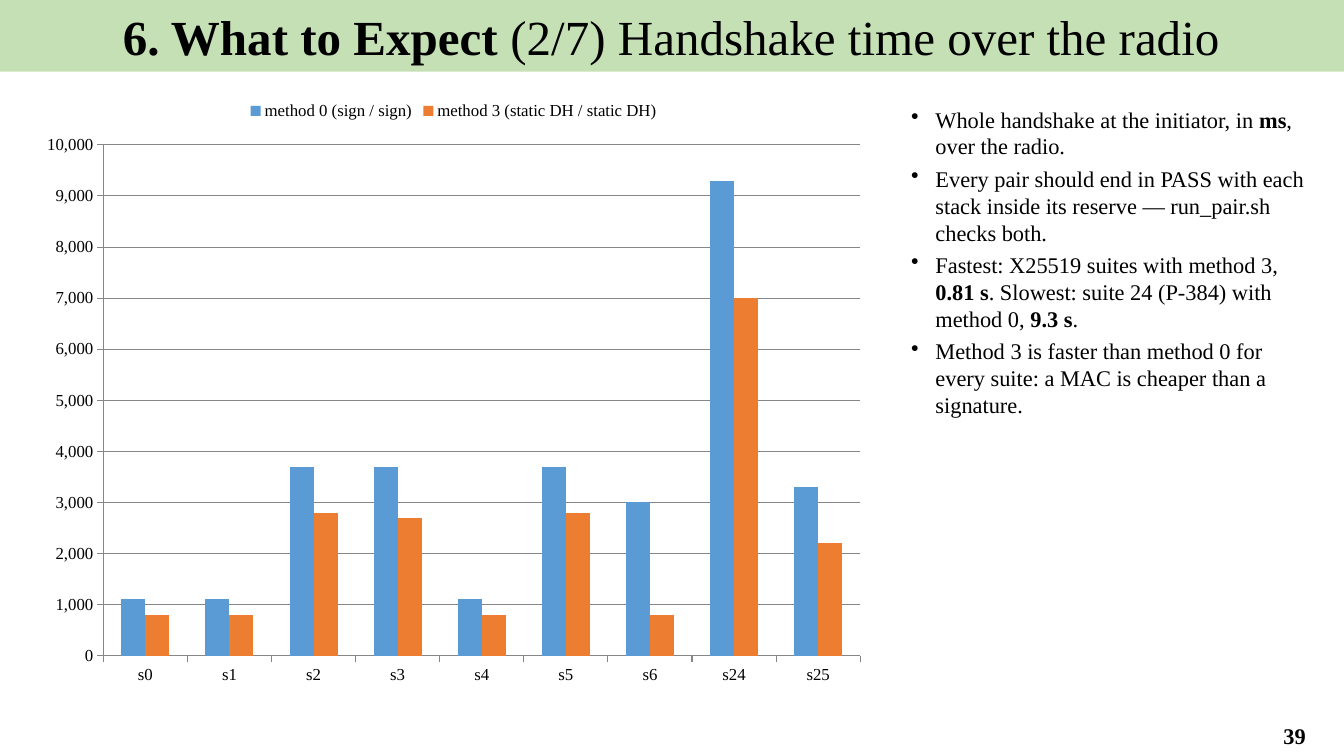
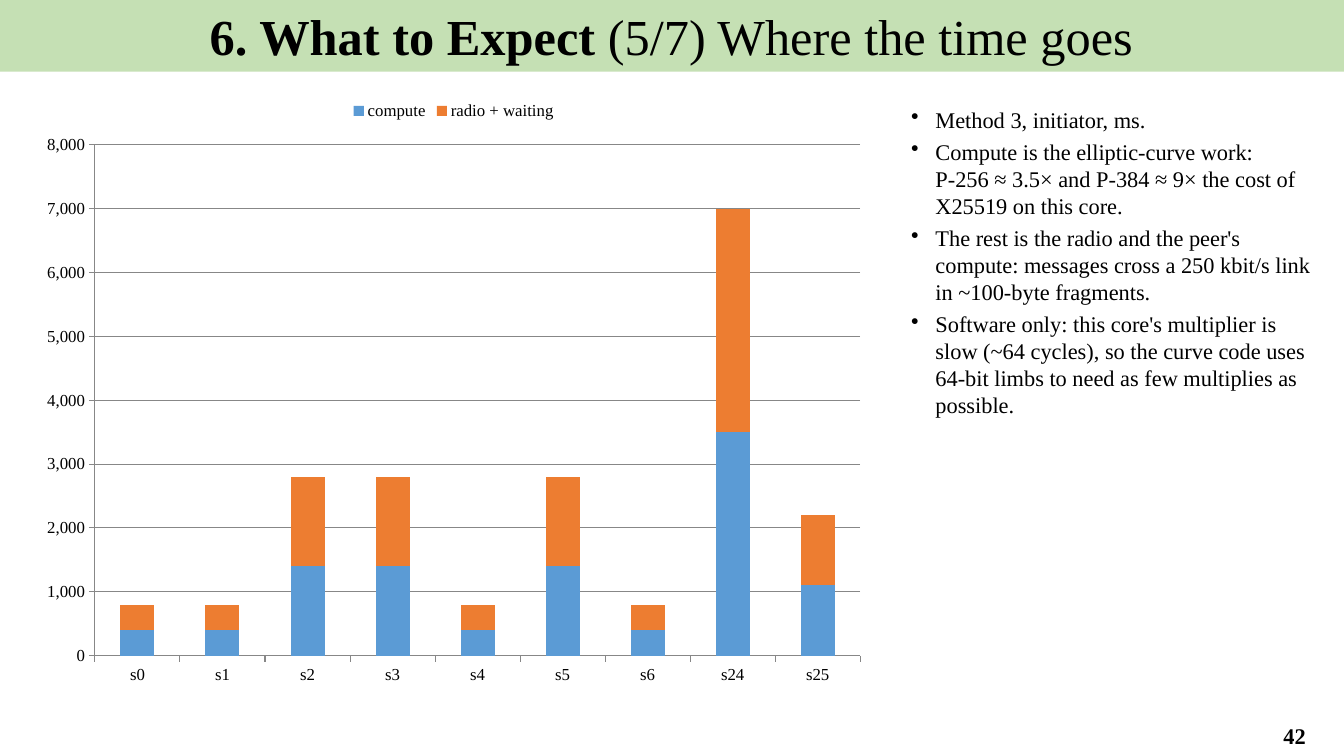
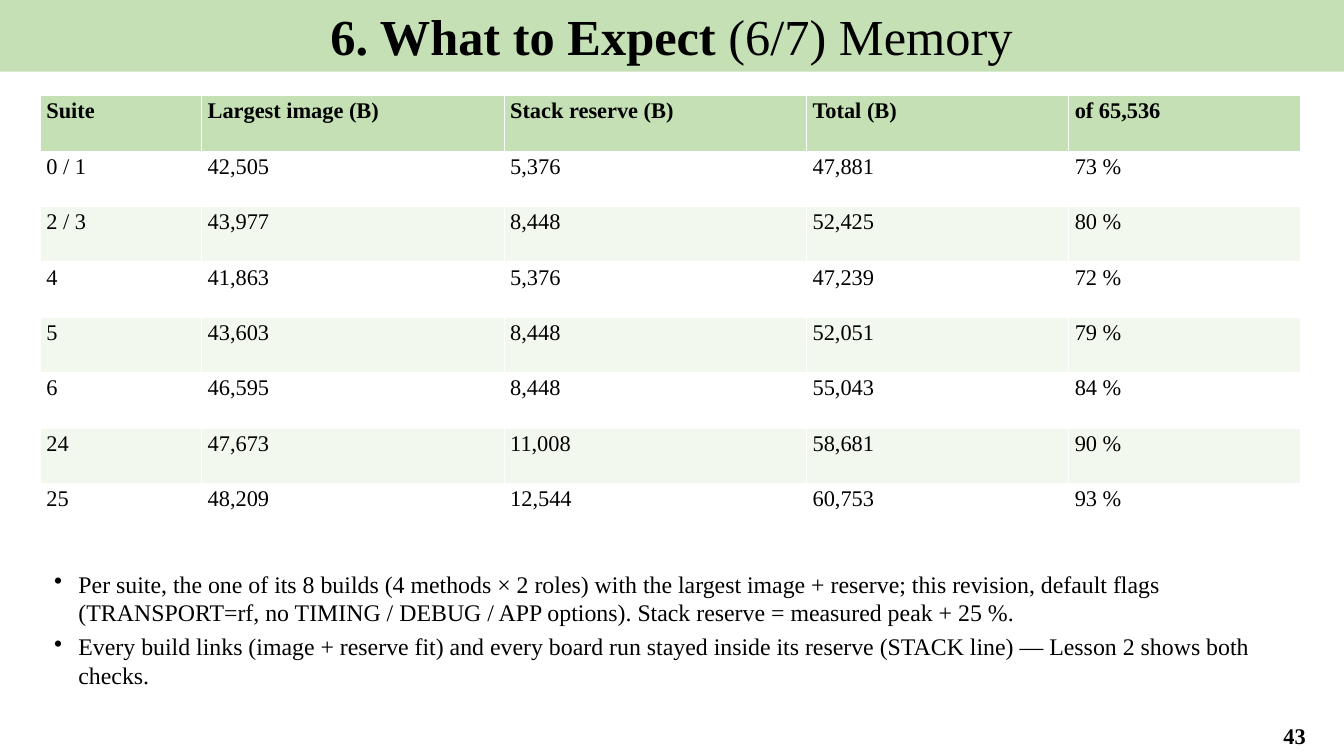
from dataclasses import dataclass

from lxml import etree
from pptx import Presentation
from pptx.chart.data import CategoryChartData
from pptx.dml.color import RGBColor
from pptx.enum.chart import XL_CHART_TYPE, XL_LEGEND_POSITION, XL_TICK_MARK
from pptx.enum.text import MSO_ANCHOR, MSO_AUTO_SIZE, PP_ALIGN
from pptx.oxml.ns import qn
from pptx.util import Inches, Pt

CLUSTERED = XL_CHART_TYPE.COLUMN_CLUSTERED
STACKED = XL_CHART_TYPE.COLUMN_STACKED
LEGEND_TOP = XL_LEGEND_POSITION.TOP
TICK_OUT = XL_TICK_MARK.OUTSIDE
TICK_NONE = XL_TICK_MARK.NONE
CENTER = PP_ALIGN.CENTER
TOP = MSO_ANCHOR.TOP
MIDDLE = MSO_ANCHOR.MIDDLE
FIT_SHAPE = MSO_AUTO_SIZE.SHAPE_TO_FIT_TEXT
NO_FIT = MSO_AUTO_SIZE.NONE


@dataclass(frozen=True)
class Theme:
    font: str = "Times New Roman"
    chart_font: str = "Arial"
    ink: RGBColor = RGBColor(0x00, 0x00, 0x00)
    band: RGBColor = RGBColor(0xC5, 0xE0, 0xB4)
    stripe: RGBColor = RGBColor(0xF2, 0xF8, 0xEE)
    paper: RGBColor = RGBColor(0xFF, 0xFF, 0xFF)
    rule: RGBColor = RGBColor(0x87, 0x87, 0x87)
    series: tuple = (RGBColor(0x5B, 0x9B, 0xD5), RGBColor(0xED, 0x7D, 0x31))
    title_size: int = 36
    body_size: int = 16
    note_size: int = 17
    chart_size: int = 18
    label_size: int = 12


class Slides:
    def __init__(self, theme):
        self.theme = theme
        self.deck = Presentation()
        self.deck.slide_width = Inches(13.33)
        self.deck.slide_height = Inches(7.5)
        self.page = None

    def style(self, font, size, name=None):
        font.name = name or self.theme.font
        font.size = Pt(size)
        font.color.rgb = self.theme.ink

    def add_spans(self, para, spans, size):
        for text, bold in spans:
            span = para.add_run()
            span.text = text
            self.style(span.font, size)
            span.font.bold = bold

    def text_box(self, left, top, width, height):
        box = self.page.shapes.add_textbox(
            Inches(left), Inches(top), Inches(width), Inches(height))
        box.text_frame.word_wrap = True
        return box.text_frame

    def start(self, topic, number, size=None):
        self.page = self.deck.slides.add_slide(self.deck.slide_layouts[5])
        title = self.page.shapes.title
        title.left, title.top = Inches(-0.01), Inches(0)
        title.width, title.height = Inches(13.34), Inches(0.71)
        title.fill.solid()
        title.fill.fore_color.rgb = self.theme.band
        frame = title.text_frame
        frame.word_wrap = True
        frame.auto_size = NO_FIT
        frame.vertical_anchor = MIDDLE
        para = frame.paragraphs[0]
        para.alignment = CENTER
        self.add_spans(para, [("6. What to Expect ", True), (topic, False)],
                       size or self.theme.title_size)
        self.page_number(number)

    def page_number(self, number):
        frame = self.text_box(12.35, 7.1, 0.98, 0.39)
        frame.vertical_anchor = MIDDLE
        para = frame.paragraphs[0]
        para.alignment = CENTER
        self.add_spans(para, [(str(number), True)], self.theme.body_size)

    def bullets(self, items, left, top, width, height, size):
        frame = self.text_box(left, top, width, height)
        frame.auto_size = FIT_SHAPE
        for index, spans in enumerate(items):
            para = frame.paragraphs[0] if index == 0 else frame.add_paragraph()
            props = para._p.get_or_add_pPr()
            props.set("marL", str(Inches(0.28)))
            props.set("indent", str(Inches(-0.24)))
            etree.SubElement(props, qn("a:buChar")).set("char", "•")
            para.space_after = Pt(4)
            self.add_spans(para, spans, size)

    def side_notes(self, items):
        self.bullets(items, 8.9, 1, 4.2, 6, self.theme.body_size)

    def column_chart(self, kind, categories, series, top_value):
        data = CategoryChartData(number_format="General")
        data.categories = categories
        for name, values in series:
            data.add_series(name, values)
        chart = self.page.shapes.add_chart(
            kind, Inches(0.3), Inches(0.9), Inches(8.4), Inches(6), data).chart
        self.style(chart.font, self.theme.chart_size, self.theme.chart_font)
        chart.has_title = False
        chart.has_legend = True
        chart.legend.position = LEGEND_TOP
        chart.legend.include_in_layout = False
        self.style(chart.legend.font, self.theme.label_size)

        plot = chart.plots[0]
        plot.vary_by_categories = False
        plot.gap_width = 150
        plot.overlap = 100 if kind == STACKED else 0
        for bars, color in zip(plot.series, self.theme.series):
            bars.format.fill.solid()
            bars.format.fill.fore_color.rgb = color

        for axis in (chart.category_axis, chart.value_axis):
            axis.major_tick_mark = TICK_OUT
            axis.minor_tick_mark = TICK_NONE
            axis.format.line.color.rgb = self.theme.rule
            self.style(axis.tick_labels.font, self.theme.label_size)
        axis = chart.value_axis
        axis.minimum_scale = 0
        axis.maximum_scale = top_value
        axis.major_unit = 1000
        axis.has_major_gridlines = True
        axis.major_gridlines.format.line.color.rgb = self.theme.rule
        axis.tick_labels.number_format = "#,##0"
        axis.tick_labels.number_format_is_linked = False

    def table(self, rows, widths, left, top, row_height):
        table = self.page.shapes.add_table(
            len(rows), len(widths), Inches(left), Inches(top),
            Inches(sum(widths)), Inches(row_height * len(rows))).table
        table.horz_banding = False
        for column, width in zip(table.columns, widths):
            column.width = Inches(width)
        for row_index, row in enumerate(rows):
            table.rows[row_index].height = Inches(row_height)
            header = row_index == 0
            stripe = self.theme.paper if row_index % 2 else self.theme.stripe
            for column_index, text in enumerate(row):
                cell = table.cell(row_index, column_index)
                cell.margin_left = cell.margin_right = Inches(0.06)
                cell.margin_top = cell.margin_bottom = Inches(0.03)
                cell.vertical_anchor = TOP
                cell.fill.solid()
                cell.fill.fore_color.rgb = self.theme.band if header else stripe
                self.add_spans(cell.text_frame.paragraphs[0], [(text, header)],
                               self.theme.body_size)


SUITES = ["s0", "s1", "s2", "s3", "s4", "s5", "s6", "s24", "s25"]
HALF_TIMES = [400, 400, 1400, 1400, 400, 1400, 400, 3500, 1100]
MEMORY_ROWS = [
    ("Suite", "Largest image (B)", "Stack reserve (B)", "Total (B)", "of 65,536"),
    ("0 / 1", "42,505", "5,376", "47,881", "73 %"),
    ("2 / 3", "43,977", "8,448", "52,425", "80 %"),
    ("4", "41,863", "5,376", "47,239", "72 %"),
    ("5", "43,603", "8,448", "52,051", "79 %"),
    ("6", "46,595", "8,448", "55,043", "84 %"),
    ("24", "47,673", "11,008", "58,681", "90 %"),
    ("25", "48,209", "12,544", "60,753", "93 %"),
]


def handshake_slide(slides):
    slides.start("(2/7) Handshake time over the radio", 39, size=35)
    slides.column_chart(CLUSTERED, SUITES, [
        ("method 0 (sign / sign)",
         [1100, 1100, 3700, 3700, 1100, 3700, 3000, 9300, 3300]),
        ("method 3 (static DH / static DH)",
         [800, 800, 2800, 2700, 800, 2800, 800, 7000, 2200]),
    ], 10000)
    slides.side_notes([
        [("Whole handshake at the initiator, in ", False), ("ms", True),
         (", over the radio.", False)],
        [("Every pair should end in PASS with each stack inside its reserve — "
          "run_pair.sh checks both.", False)],
        [("Fastest: X25519 suites with method 3, ", False), ("0.81 s", True),
         (". Slowest: suite 24 (P-384) with method 0, ", False),
         ("9.3 s", True), (".", False)],
        [("Method 3 is faster than method 0 for every suite: a MAC is cheaper "
          "than a signature.", False)],
    ])


def time_slide(slides):
    slides.start("(5/7) Where the time goes", 42)
    slides.column_chart(STACKED, SUITES, [
        ("compute", HALF_TIMES), ("radio + waiting", HALF_TIMES)], 8000)
    slides.side_notes([
        [("Method 3, initiator, ms.", False)],
        [("Compute is the elliptic-curve work: P-256 ≈ 3.5× and P-384 ≈ 9× "
          "the cost of X25519 on this core.", False)],
        [("The rest is the radio and the peer's compute: messages cross a "
          "250 kbit/s link in ~100-byte fragments.", False)],
        [("Software only: this core's multiplier is slow (~64 cycles), so the "
          "curve code uses 64-bit limbs to need as few multiplies as "
          "possible.", False)],
    ])


def memory_slide(slides):
    slides.start("(6/7) Memory", 43)
    slides.table(MEMORY_ROWS, [1.6, 3, 3, 2.6, 2.3], 0.4, 0.95, 0.55)
    slides.bullets([
        [("Per suite, the one of its 8 builds (4 methods × 2 roles) with the "
          "largest image + reserve; this revision, default flags "
          "(TRANSPORT=rf, no TIMING / DEBUG / APP options). Stack reserve = "
          "measured peak + 25 %.", False)],
        [("Every build links (image + reserve fit) and every board run stayed "
          "inside its reserve (STACK line) — Lesson 2 shows both checks.",
          False)],
    ], 0.4, 5.6, 12.5, 1.4, slides.theme.note_size)


def main():
    slides = Slides(Theme())
    handshake_slide(slides)
    time_slide(slides)
    memory_slide(slides)
    slides.deck.save("out.pptx")


if __name__ == "__main__":
    main()
